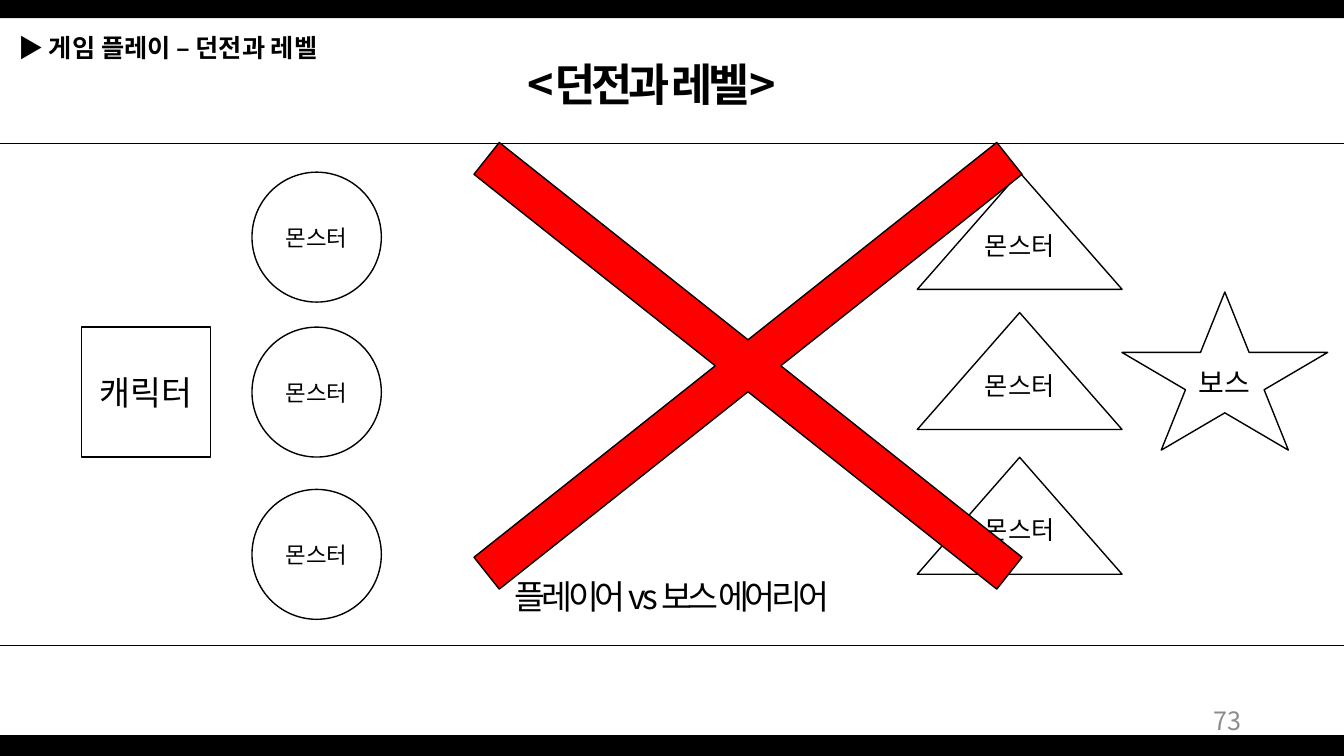
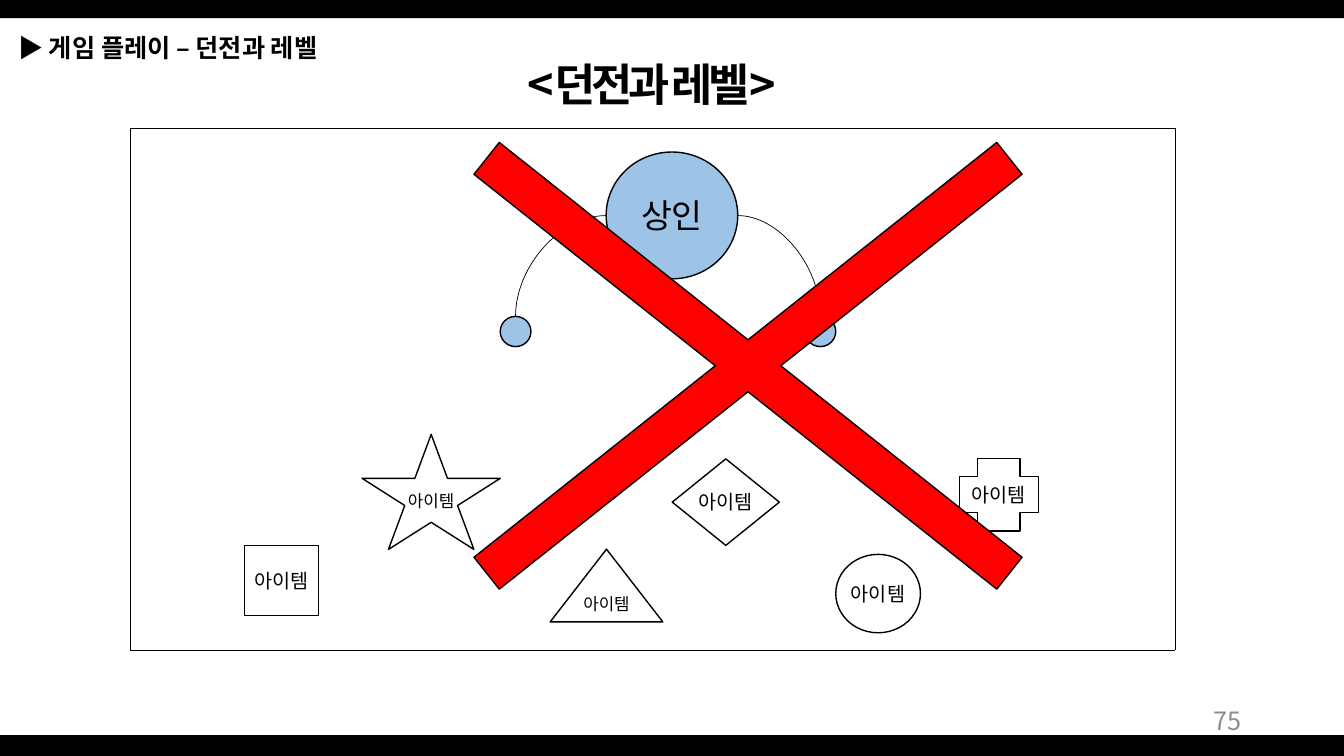
from lxml import etree
from pptx import Presentation
from pptx import util as u
from pptx.dml.color import RGBColor
from pptx.enum import shapes, text
from pptx.oxml.ns import qn

KIND = shapes.MSO_SHAPE
LINK = shapes.MSO_CONNECTOR
ALIGN = text.PP_ALIGN
ANCHOR = text.MSO_ANCHOR


def color(code):
    return RGBColor.from_string(code)


def write(frame, words, size=18, ink="000000", bold=False, align=ALIGN.CENTER,
          anchor=ANCHOR.MIDDLE, track=0, wrap=True, face="Noto Sans CJK KR"):
    frame.word_wrap = wrap
    frame.vertical_anchor = anchor
    para = frame.paragraphs[0]
    para.alignment = align
    run = para.add_run()
    run.text = words
    font = run.font
    font.name, font.size, font.bold = face, u.Pt(size), bold
    font.color.rgb = color(ink)
    props = run._r.get_or_add_rPr()
    if track:
        props.set("spc", str(track * 100))
    etree.SubElement(props, qn("a:ea")).set("typeface", face)


class Deck:
    black, white, red, blue, gray = "000000", "FFFFFF", "FF0000", "9DC3E6", "8C8C8C"

    def __init__(self):
        self.show = Presentation()
        self.show.slide_width = u.Pt(960)
        self.show.slide_height = u.Pt(540)
        self.slide = None

    def page(self):
        self.slide = self.show.slides.add_slide(self.show.slide_layouts[6])
        self.shape(KIND.RECTANGLE, 0, 525, 960, 15, fill=self.black, edge=None)
        self.shape(KIND.RECTANGLE, 0, 0, 960, 13, fill=self.black, edge=None)
        self.label("<던전과 레벨>", 344, 36.7, 243.5, 46, size=32, bold=True, track=-3)
        self.label("▶ 게임 플레이 – 던전과 레벨", 5.8, 19.4, 297.4, 29,
                   bold=True, align=ALIGN.LEFT)

    def number(self, value):
        self.label(str(value), 678, 500.4, 216, 28.8, ink=self.gray,
                   align=ALIGN.RIGHT, anchor=ANCHOR.MIDDLE)

    def cross(self):
        mark = self.shape(KIND.MATH_MULTIPLY, 175, -23.8, 718.6, 570.2, fill=self.red)
        mark.adjustments[0] = 0.051

    def shape(self, kind, x, y, w, h, words="", fill=white, edge=black, **form):
        item = self.slide.shapes.add_shape(kind, u.Pt(x), u.Pt(y), u.Pt(w), u.Pt(h))
        item.shadow.inherit = False
        item.fill.solid()
        item.fill.fore_color.rgb = color(fill)
        if edge:
            item.line.color.rgb = color(edge)
            item.line.width = u.Pt(1)
        else:
            item.line.fill.background()
        if words:
            write(item.text_frame, words, **form)
        return item

    def label(self, words, x, y, w, h, anchor=ANCHOR.TOP, **form):
        box = self.slide.shapes.add_textbox(u.Pt(x), u.Pt(y), u.Pt(w), u.Pt(h))
        write(box.text_frame, words, anchor=anchor, **form)

    def line(self, x, y, end, drop, kind=LINK.STRAIGHT):
        item = self.slide.shapes.add_connector(
            kind, u.Pt(x), u.Pt(y), u.Pt(end), u.Pt(drop))
        item.line.color.rgb = color(self.black)
        item.line.width = u.Pt(0.5)
        etree.SubElement(item._element.spPr, qn("a:effectLst"))
        return item

    def curve(self, *ends):
        item = self.line(*ends, kind=LINK.CURVE)
        item._element.spPr.find(qn("a:prstGeom")).set("prst", "curvedConnector2")


def battle(deck):
    deck.page()
    deck.number(73)
    for y in (102.4, 460.8):
        deck.line(0, y, 960, y)
    for y in (123, 233.7, 349.6):
        deck.shape(KIND.OVAL, 180, y, 92.4, 92.8, "몬스터", size=16)
    deck.shape(KIND.RECTANGLE, 58.2, 233.7, 92.4, 92.8, "캐릭터", size=24)
    for y in (123.2, 223.3, 326.7):
        foe = deck.shape(KIND.ISOSCELES_TRIANGLE, 655.2, y, 146.3, 83.5, "몬스터")
        foe.text_frame.margin_bottom = u.Pt(25.2)
    deck.label("플레이어 vs 보스 에어리어", 338.4, 407.5, 283, 36, size=24, track=-3)
    deck.shape(KIND.STAR_5_POINT, 801.4, 208.6, 147, 113, "보스", size=20)
    deck.cross()


def shop(deck):
    deck.page()
    deck.number(75)
    left, top, right, base = 93, 91.7, 839.5, 464.5
    for x in (left, right):
        deck.line(x, top, x, base)
    for y in (top, base):
        deck.line(left, y, right, y)
    deck.shape(KIND.OVAL, 433, 108.6, 94, 90.6, "상인", fill=deck.blue, size=24)
    goods = (
        (KIND.OVAL, 597, 396, 60.5, 56, 14),
        (KIND.RECTANGLE, 174.7, 389.6, 52.8, 50, 14),
        (KIND.ISOSCELES_TRIANGLE, 393, 392.3, 80.5, 52, 12),
        (KIND.STAR_5_POINT, 258.6, 310.3, 98.8, 82.2, 12),
        (KIND.CROSS, 685.4, 327.6, 56.2, 51.6, 14),
        (KIND.FLOWCHART_DECISION, 480.2, 327.8, 76.5, 61.8, 14),
    )
    for kind, x, y, w, h, size in goods:
        item = deck.shape(kind, x, y, w, h, "아이템", size=size, wrap=False)
        frame = item.text_frame
        frame.margin_left = frame.margin_right = 0
        frame.margin_top = frame.margin_bottom = 0
    for start, hand in ((433, 368.3), (527, 586)):
        deck.curve(start, 154, hand, 226)
        deck.shape(KIND.OVAL, hand - 11, 226, 22, 21.6, fill=deck.blue)
    deck.cross()


def main():
    deck = Deck()
    battle(deck)
    shop(deck)
    deck.show.save("out.pptx")


if __name__ == "__main__":
    main()
